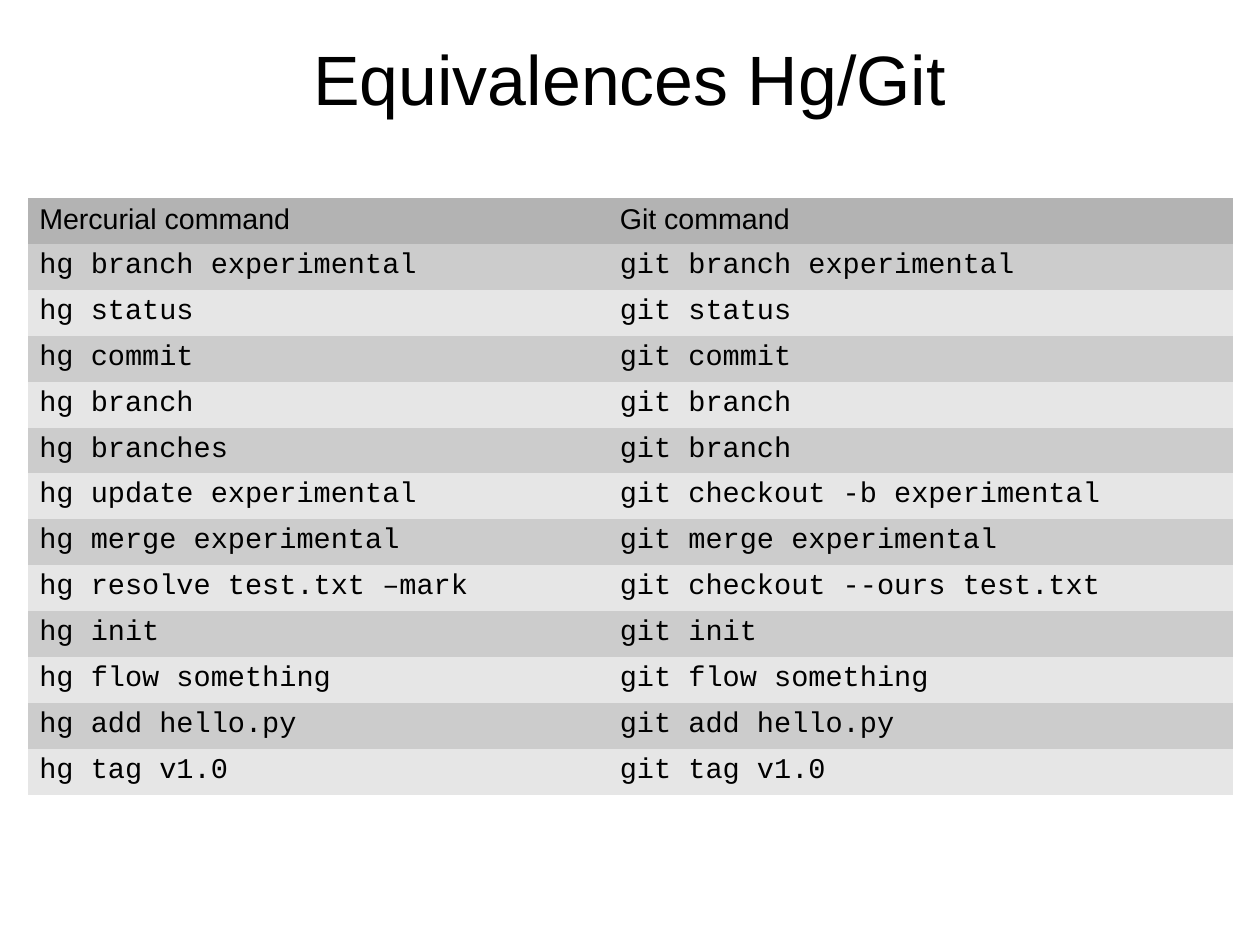
"""Build the slide that pairs Mercurial commands with Git commands."""
from pptx import Presentation
from pptx.dml.color import RGBColor
from pptx.enum.text import MSO_ANCHOR, PP_ALIGN
from pptx.oxml.ns import qn
from pptx.util import Cm, Pt

CENTER = PP_ALIGN.CENTER
MIDDLE = MSO_ANCHOR.MIDDLE
TITLE_ONLY = 5
NO_GRID_STYLE = "{2D5ABB26-0587-4C30-8999-92F81FD0307C}"
COLORS = {"text": "000000", "header": "B3B3B3", "dark": "CCCCCC", "light": "E6E6E6"}
COMMANDS = [
    ("Mercurial command", "Git command"),
    ("hg branch experimental", "git branch experimental"),
    ("hg status", "git status"),
    ("hg commit", "git commit"),
    ("hg branch", "git branch"),
    ("hg branches", "git branch"),
    ("hg update experimental", "git checkout -b experimental"),
    ("hg merge experimental", "git merge experimental"),
    ("hg resolve test.txt –mark", "git checkout --ours test.txt"),
    ("hg init", "git init"),
    ("hg flow something", "git flow something"),
    ("hg add hello.py", "git add hello.py"),
    ("hg tag v1.0", "git tag v1.0"),
]


class Deck:
    """Hold the style and the current slide."""

    text_font = "Arial"
    code_font = "Courier New"

    def __init__(self, width, height):
        """Open a presentation of the given size in centimetres."""
        self.prs = Presentation()
        self.prs.slide_width, self.prs.slide_height = Cm(width), Cm(height)
        self.s = self.prs.slides.add_slide(self.prs.slide_layouts[TITLE_ONLY])

    def color(self, name):
        """Return a named colour."""
        return RGBColor.from_string(COLORS[name])

    def set_text(self, tf, text, font, size):
        """Put one formatted run into a text frame."""
        tf.text = text
        p = tf.paragraphs[0]
        r = p.runs[0]
        r.font.name, r.font.size = font, Pt(size)
        r.font.color.rgb = self.color("text")
        return p

    def title(self, text, left, top, width, height):
        """Place and format the title placeholder."""
        sp = self.s.shapes.title
        sp.left, sp.top, sp.width, sp.height = map(Cm, (left, top, width, height))
        tf = sp.text_frame
        tf.margin_left = tf.margin_top = tf.margin_right = tf.margin_bottom = 0
        tf.vertical_anchor = MIDDLE
        tf.word_wrap = True
        self.set_text(tf, text, self.text_font, 44).alignment = CENTER

    def table(self, rows, left, top, widths, row_height):
        """Add a banded table whose first row is a header."""
        frame = self.s.shapes.add_table(
            len(rows), len(widths), Cm(left), Cm(top),
            Cm(sum(widths)), Cm(row_height * len(rows)))
        next(frame.element.iter(qn("a:tableStyleId"))).text = NO_GRID_STYLE
        table = frame.table
        for column, width in zip(table.columns, widths):
            column.width = Cm(width)
        for i, row in enumerate(rows):
            table.rows[i].height = Cm(row_height)
            fill = "header" if i == 0 else ("light", "dark")[i % 2]
            font = self.code_font if i else self.text_font
            for j, text in enumerate(row):
                cell = table.cell(i, j)
                cell.fill.solid()
                cell.fill.fore_color.rgb = self.color(fill)
                self.set_text(cell.text_frame, text, font, 18)


def main():
    """Build and save the slide."""
    deck = Deck(28, 21)
    deck.title("Equivalences Hg/Git", 1.4, -0.03, 25.2, 3.5)
    deck.table(COMMANDS, 0.62, 4.4, (12.9, 13.88), 1.02)
    deck.prs.save("out.pptx")


if __name__ == "__main__":
    main()
